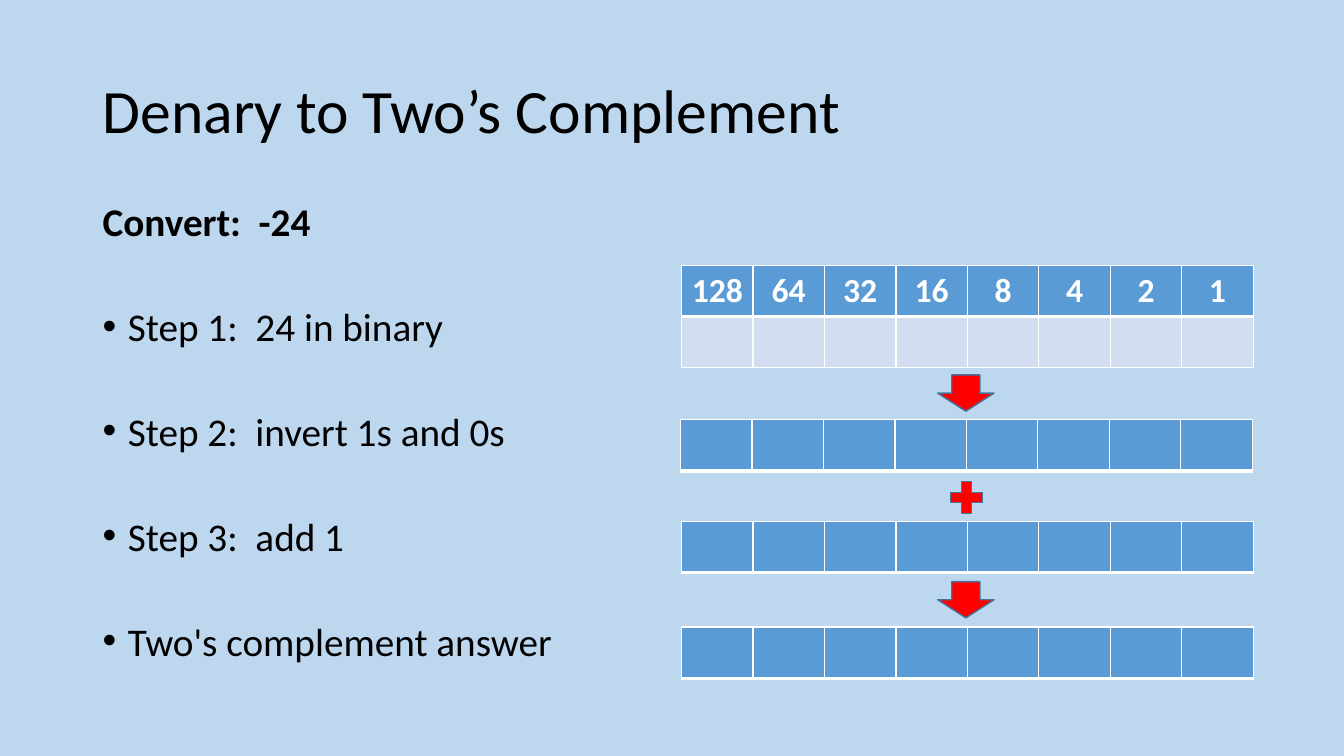
from dataclasses import dataclass

from lxml.etree import SubElement
from pptx import Presentation
from pptx.dml.color import RGBColor
from pptx.enum.shapes import MSO_SHAPE
from pptx.enum.text import MSO_ANCHOR, PP_ALIGN
from pptx.oxml.ns import qn
from pptx.slide import Slide
from pptx.table import _Cell
from pptx.text.text import TextFrame, _Paragraph
from pptx.util import Inches, Pt

FONT = "Calibri"
BACKGROUND = "BDD7EE"
BLACK = "000000"
WHITE = "FFFFFF"
BLUE = "5B9BD5"
PALE_BLUE = "D2DEEF"
RED = "FF0000"
OUTLINE = "43739E"
BITS = 8
TABLE_WIDTH = 5.67
ROW_HEIGHT = 0.51
STEP_INDENT = 0.25


@dataclass(frozen=True)
class BitTable:
    left: float
    top: float
    place_values: tuple[str, ...] = ("",) * BITS
    has_answer_row: bool = False


@dataclass(frozen=True)
class Symbol:
    kind: MSO_SHAPE
    left: float
    top: float
    width: float
    height: float


STEPS = (
    "Step 1:  24 in binary",
    "Step 2:  invert 1s and 0s",
    "Step 3:  add 1",
    "Two's complement answer",
)
PLACE_VALUES = tuple(str(2 ** bit) for bit in reversed(range(BITS)))
BIT_TABLES = (
    BitTable(6.76, 2.63, PLACE_VALUES, True),
    BitTable(6.75, 4.16),
    BitTable(6.76, 5.17),
    BitTable(6.76, 6.22),
)
SYMBOLS = (
    Symbol(MSO_SHAPE.DOWN_ARROW, 9.3, 3.72, 0.56, 0.36),
    Symbol(MSO_SHAPE.MATH_PLUS, 9.37, 4.72, 0.43, 0.43),
    Symbol(MSO_SHAPE.DOWN_ARROW, 9.3, 5.77, 0.56, 0.36),
)


def color(value: str) -> RGBColor:
    return RGBColor.from_string(value)


def add_run(paragraph: _Paragraph, text: str, size: float, text_color: str, bold: bool = False) -> None:
    run = paragraph.add_run()
    run.text = text
    run.font.name = FONT
    run.font.size = Pt(size)
    run.font.bold = bold
    run.font.color.rgb = color(text_color)


def add_text_frame(slide: Slide, left: float, top: float, width: float, height: float) -> TextFrame:
    shape = slide.shapes.add_textbox(Inches(left), Inches(top), Inches(width), Inches(height))
    shape.text_frame.word_wrap = True
    return shape.text_frame


def add_title(slide: Slide) -> None:
    text_frame = add_text_frame(slide, 0.92, 0.4, 11.5, 1.45)
    text_frame.vertical_anchor = MSO_ANCHOR.MIDDLE
    paragraph = text_frame.paragraphs[0]
    paragraph.line_spacing = 0.9
    add_run(paragraph, "Denary to Two’s Complement", 44, BLACK)


def add_bullet(paragraph: _Paragraph) -> None:
    properties = paragraph._p.get_or_add_pPr()
    properties.set("marL", str(Inches(STEP_INDENT)))
    properties.set("indent", str(-Inches(STEP_INDENT)))
    SubElement(properties, qn("a:buFont"), typeface="Arial")
    SubElement(properties, qn("a:buChar"), char="•")


def add_steps(slide: Slide) -> None:
    text_frame = add_text_frame(slide, 0.92, 2, 5.67, 4.76)
    heading = text_frame.paragraphs[0]
    heading.line_spacing = 0.8
    add_run(heading, "Convert:  -24", 28, BLACK, bold=True)
    for step in STEPS:
        paragraph = text_frame.add_paragraph()
        add_bullet(paragraph)
        paragraph.line_spacing = 0.8
        paragraph.space_before = Pt(48)
        add_run(paragraph, step, 28, BLACK)


def style_cell(cell: _Cell, fill: str, bottom_width: float) -> None:
    properties = cell._tc.get_or_add_tcPr()
    for side, width in (("lnL", 1), ("lnR", 1), ("lnT", 1), ("lnB", bottom_width)):
        border = SubElement(properties, qn(f"a:{side}"), w=str(Pt(width)))
        border_fill = SubElement(border, qn("a:solidFill"))
        SubElement(border_fill, qn("a:srgbClr"), val=WHITE)
    cell.fill.solid()
    cell.fill.fore_color.rgb = color(fill)


def add_bit_table(slide: Slide, bit_table: BitTable) -> None:
    row_count = 2 if bit_table.has_answer_row else 1
    table = slide.shapes.add_table(
        row_count, BITS, Inches(bit_table.left), Inches(bit_table.top),
        Inches(TABLE_WIDTH), Inches(ROW_HEIGHT * row_count),
    ).table
    for column, place_value in enumerate(bit_table.place_values):
        header = table.cell(0, column)
        style_cell(header, BLUE, 3)
        if place_value:
            paragraph = header.text_frame.paragraphs[0]
            paragraph.alignment = PP_ALIGN.CENTER
            add_run(paragraph, place_value, 24, WHITE, bold=True)
        if bit_table.has_answer_row:
            style_cell(table.cell(1, column), PALE_BLUE, 1)


def add_symbol(slide: Slide, symbol: Symbol) -> None:
    shape = slide.shapes.add_shape(
        symbol.kind, Inches(symbol.left), Inches(symbol.top),
        Inches(symbol.width), Inches(symbol.height),
    )
    shape.shadow.inherit = False
    shape.fill.solid()
    shape.fill.fore_color.rgb = color(RED)
    shape.line.color.rgb = color(OUTLINE)
    shape.line.width = Pt(1)


def main() -> None:
    presentation = Presentation()
    presentation.slide_width = Inches(13.33)
    presentation.slide_height = Inches(7.5)
    slide = presentation.slides.add_slide(presentation.slide_layouts[6])
    slide.background.fill.solid()
    slide.background.fill.fore_color.rgb = color(BACKGROUND)
    add_title(slide)
    add_steps(slide)
    for bit_table in BIT_TABLES:
        add_bit_table(slide, bit_table)
    for symbol in SYMBOLS:
        add_symbol(slide, symbol)
    presentation.save("out.pptx")


if __name__ == "__main__":
    main()
